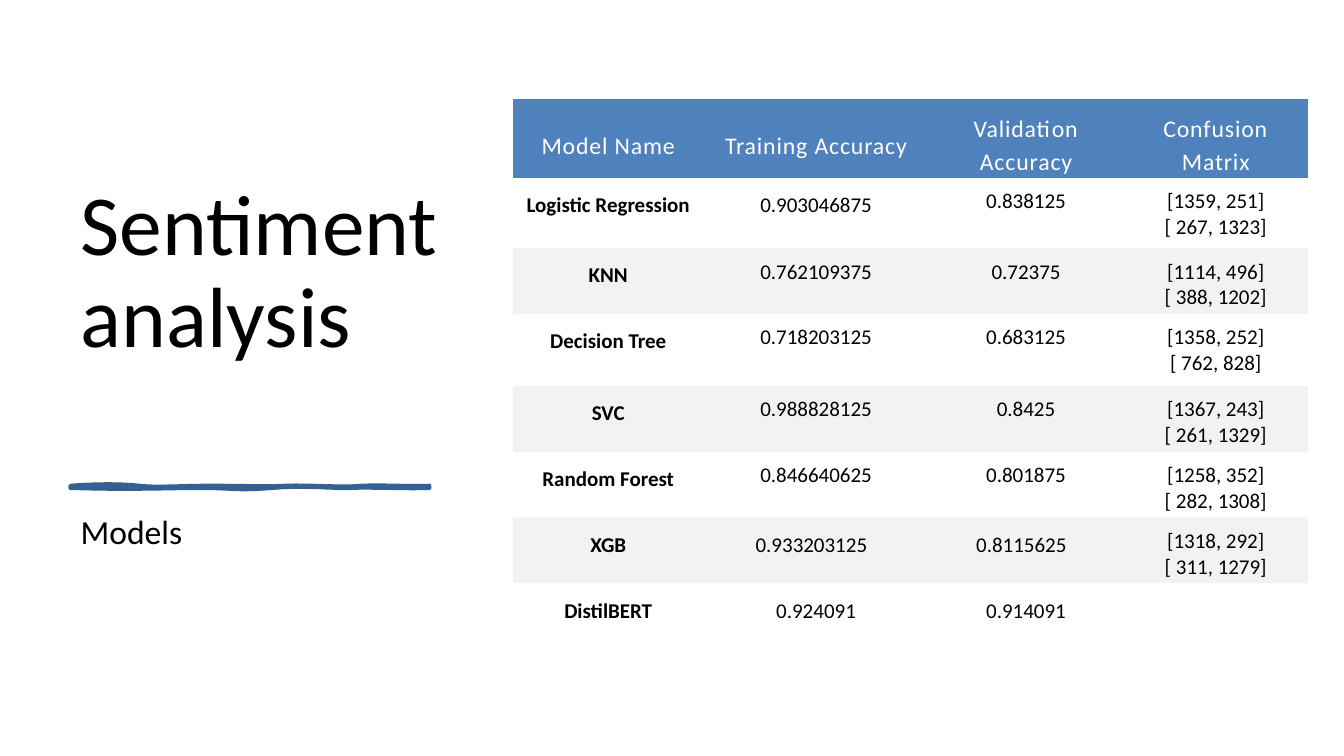
import pptx
import pptx.util
import pptx.dml.color
import pptx.enum.text
import pptx.oxml.ns
import lxml.etree

Pt = pptx.util.Pt
PP_ALIGN = pptx.enum.text.PP_ALIGN
ANCHOR = pptx.enum.text.MSO_ANCHOR


def color(hex_code):
    return pptx.dml.color.RGBColor.from_string(hex_code)


def format_text(paragraph, size, hex_code, bold, spacing):
    paragraph.line_spacing = spacing
    for run in paragraph.runs:
        run.font.name = "Calibri"
        run.font.size = Pt(size)
        run.font.bold = bold
        run.font.color.rgb = color(hex_code)


prs = pptx.Presentation()
prs.slide_width, prs.slide_height = Pt(960), Pt(540)
slide = prs.slides.add_slide(prs.slide_layouts[1])

heading = slide.shapes.title
subheading = slide.placeholders[1]
for part, text, top, height, size, anchor in (
    (heading, "Sentiment analysis", 50.4, 281.5, 61, ANCHOR.BOTTOM),
    (subheading, "Models", 364.3, 123.1, 24, ANCHOR.TOP),
):
    part.left, part.top, part.width, part.height = Pt(50.4), Pt(top), Pt(281.5), Pt(height)
    frame = part.text_frame
    frame.text = text
    frame.word_wrap = True
    frame.auto_size = pptx.enum.text.MSO_AUTO_SIZE.NONE
    frame.vertical_anchor = anchor
    frame.paragraphs[0].alignment = PP_ALIGN.LEFT
    format_text(frame.paragraphs[0], size, "000000", False, 0.9)
heading.text_frame.margin_bottom = Pt(70.5)
models = subheading.text_frame.paragraphs[0]
models.space_before = Pt(10)
models_props = models._p.get_or_add_pPr()
models_props.set("marL", "0")
models_props.set("indent", "0")
lxml.etree.SubElement(models_props, pptx.oxml.ns.qn("a:buNone"))

stroke_start = (50.4, 347)
stroke_curves = [
    ((69.8, 345.6), (87.1, 345.6), (99.4, 347)),
    ((111.6, 348.5), (127.4, 347), (150.5, 347)),
    ((173.5, 347), (187.2, 347.8), (204.5, 347)),
    ((221.8, 346.3), (244.1, 348.5), (258.5, 347)),
    ((272.9, 346.3), (296.6, 347.8), (306.7, 347)),
    ((306.7, 347.8), (306.7, 348.5), (306.7, 348.5)),
    ((293.8, 349.2), (262.1, 347.8), (250.6, 348.5)),
    ((239, 349.2), (218.9, 346.3), (194.4, 348.5)),
    ((169.2, 350.6), (166.3, 348.5), (143.3, 348.5)),
    ((119.5, 348.5), (95, 349.9), (50.4, 348.5)),
]
steps = 8
stroke_points = []
current = stroke_start
for first, second, end in stroke_curves:
    for step in range(1, steps + 1):
        t = step / steps
        stroke_points.append(tuple(
            Pt((1 - t) ** 3 * a + 3 * (1 - t) ** 2 * t * b + 3 * (1 - t) * t ** 2 * c + t ** 3 * d)
            for a, b, c, d in zip(current, first, second, end)
        ))
    current = end
outline = slide.shapes.build_freeform(Pt(stroke_start[0]), Pt(stroke_start[1]))
outline.add_line_segments(stroke_points, close=True)
brush_stroke = outline.convert_to_shape()
brush_stroke.shadow.inherit = False
brush_stroke.fill.solid()
brush_stroke.fill.fore_color.rgb = color("366092")
brush_stroke.line.color.rgb = color("366092")
brush_stroke.line.width = Pt(3)

results = [
    ("Model Name", "Training Accuracy", "Validation Accuracy", "Confusion Matrix"),
    ("Logistic Regression", "0.903046875", "0.838125", "[1359, 251]\n[ 267, 1323]"),
    ("KNN", "0.762109375", "0.72375", "[1114, 496]\n[ 388, 1202]"),
    ("Decision Tree", "0.718203125", "0.683125", "[1358, 252]\n[ 762, 828]"),
    ("SVC", "0.988828125", "0.8425", "[1367, 243]\n[ 261, 1329]"),
    ("Random Forest", "0.846640625", "0.801875", "[1258, 352]\n[ 282, 1308]"),
    ("XGB", "0.933203125", "0.8115625", "[1318, 292]\n[ 311, 1279]"),
    ("DistilBERT", "0.924091", "0.914091", ""),
]
column_widths = (136, 161, 139, 132)
row_heights = (56.4, 50.2, 47, 51.4, 47, 47, 47, 50.4)
loose_numbers = {(1, 1), (6, 1), (6, 2), (7, 1), (7, 2)}

results_frame = slide.shapes.add_table(
    len(results), len(column_widths), Pt(366.5), Pt(70.6), Pt(sum(column_widths)), Pt(sum(row_heights))
)
accuracy = results_frame.table
accuracy.first_row = False
accuracy.horz_banding = False
style_id = accuracy._tbl.tblPr.find(pptx.oxml.ns.qn("a:tableStyleId"))
style_id.text = "{2D5ABB26-0587-4C30-8999-92F81FD0307C}"
for column, width in zip(accuracy.columns, column_widths):
    column.width = Pt(width)

for r, values in enumerate(results):
    accuracy.rows[r].height = Pt(row_heights[r])
    header = r == 0
    band = "4F81BD" if header else "FFFFFF" if r % 2 else "F2F2F2"
    for c, value in enumerate(values):
        cell = accuracy.cell(r, c)
        cell.fill.solid()
        cell.fill.fore_color.rgb = color(band)
        cell.margin_left = Pt(5.8)
        cell.margin_right = Pt(12.5 if r == 6 and c in (1, 2) else 5.8)
        cell.margin_top, cell.margin_bottom = Pt(7.9), Pt(0)
        cell.vertical_anchor = ANCHOR.MIDDLE if header else ANCHOR.TOP
        cell.text_frame.text = value
        loose = header or c == 0 or (r, c) in loose_numbers
        for paragraph in cell.text_frame.paragraphs:
            paragraph.alignment = PP_ALIGN.CENTER
            format_text(
                paragraph,
                17 if header else 15,
                "FFFFFF" if header else "000000",
                c == 0 and not header,
                1.15 if loose else 1.0,
            )
            if header:
                for run in paragraph.runs:
                    run.font._element.set("spc", "60")

prs.save("out.pptx")
